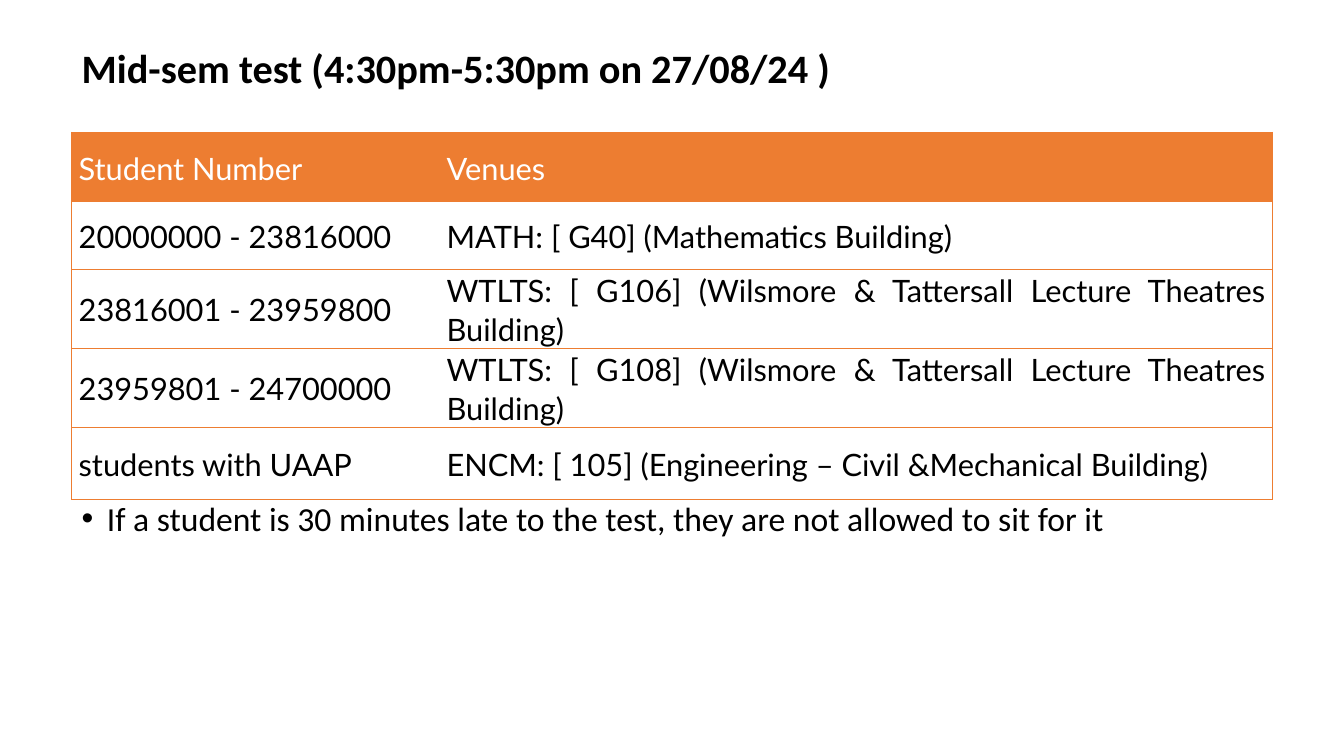
"""Build the slide that lists the mid-semester test venues."""
from dataclasses import dataclass
from typing import Any

from lxml.etree import SubElement
from pptx import Presentation
from pptx.dml.color import RGBColor
from pptx.enum.text import MSO_ANCHOR, MSO_AUTO_SIZE, PP_ALIGN
from pptx.oxml.ns import qn
from pptx.util import Emu, Inches, Pt

WIDTH, HEIGHT = Inches(13.33), Inches(7.5)
ORANGE = RGBColor(0xED, 0x7D, 0x31)
BLACK = RGBColor(0, 0, 0)
WHITE = RGBColor(0xFF, 0xFF, 0xFF)
LEFT = 5.33
COLUMNS = (27.38, 61.97)
PLAIN_STYLE = "{2D5ABB26-0587-4C30-8999-92F81FD0307C}"

TITLE_FONT = {"name": "Calibri", "size": Pt(28.8), "bold": True}
BODY_FONT = {"name": "Calibri", "size": Pt(24), "bold": False}
CELL_FONT = {"name": "Lato", "size": Pt(22), "bold": False}
TITLE_PARAGRAPH = {"alignment": PP_ALIGN.LEFT, "line_spacing": 0.9}
BODY_PARAGRAPH = {"alignment": PP_ALIGN.LEFT, "line_spacing": 0.9, "space_before": Pt(10)}
CELL_PARAGRAPH = {"alignment": PP_ALIGN.JUSTIFY, "line_spacing": 1.07, "space_after": Pt(8)}
CELL_FORMAT = {"vertical_anchor": MSO_ANCHOR.MIDDLE, "margin_left": Inches(0.07),
               "margin_right": Inches(0.07), "margin_top": 0, "margin_bottom": 0}


@dataclass(frozen=True)
class Box:
    """Position and size in percent of the slide."""
    left: float
    top: float
    width: float
    height: float


@dataclass(frozen=True)
class VenueRow:
    """One table row, with its height in percent of the slide."""
    students: str
    venue: str
    height: float


ROWS = (
    VenueRow("Student Number", "Venues", 9.2),
    VenueRow("20000000 - 23816000", "MATH: [ G40] (Mathematics Building)", 8.93),
    VenueRow("23816001 - 23959800",
             "WTLTS: [ G106] (Wilsmore & Tattersall Lecture Theatres Building)", 9.07),
    VenueRow("23959801 - 24700000",
             "WTLTS: [ G108] (Wilsmore & Tattersall Lecture Theatres Building)", 8.8),
    VenueRow("students with UAAP",
             "ENCM: [ 105] (Engineering – Civil &Mechanical Building)", 9.47),
)
TITLE_BOX = Box(LEFT, 4, 57.46, 10.53)
TABLE_BOX = Box(LEFT, 17.47, sum(COLUMNS), sum(row.height for row in ROWS))
BODY_BOX = Box(LEFT, 65.73, 89.8, 14.8)


def across(share: float) -> Emu:
    """Turn a percentage of the slide's width into a length."""
    return Emu(round(WIDTH * share / 100))


def down(share: float) -> Emu:
    """Turn a percentage of the slide's height into a length."""
    return Emu(round(HEIGHT * share / 100))


def apply(target: Any, values: dict[str, Any]) -> None:
    """Set each named attribute on the target."""
    for name, value in values.items():
        setattr(target, name, value)


def place(box: Box) -> dict[str, Emu]:
    """Give the shape attributes for a box."""
    return {"left": across(box.left), "top": down(box.top),
            "width": across(box.width), "height": down(box.height)}


def write(tf: Any, text: str, paragraph: dict[str, Any], font: dict[str, Any],
          color: RGBColor = BLACK) -> Any:
    """Write one formatted paragraph and return it."""
    p = tf.paragraphs[0]
    apply(p, paragraph)
    r = p.add_run()
    r.text = text
    apply(r.font, font)
    r.font.color.rgb = color
    return p


def fill_placeholder(sp: Any, box: Box, text: str, anchor: MSO_ANCHOR,
                     paragraph: dict[str, Any], font: dict[str, Any]) -> Any:
    """Move a placeholder, write its text and return the paragraph."""
    apply(sp, place(box))
    tf = sp.text_frame
    apply(tf, {"auto_size": MSO_AUTO_SIZE.NONE, "vertical_anchor": anchor})
    return write(tf, text, paragraph, font)


def add_bullet(p: Any) -> None:
    """Give a paragraph a hanging round bullet."""
    pPr = p._p.get_or_add_pPr()
    pPr.set("marL", str(Inches(0.25)))
    pPr.set("indent", str(-Inches(0.25)))
    SubElement(pPr, qn("a:buFont"), typeface="Arial")
    SubElement(pPr, qn("a:buChar"), char="•")


def add_borders(cell: Any, sides: str) -> None:
    """Draw thin orange borders on the given sides of a cell."""
    tcPr = cell._tc.get_or_add_tcPr()
    for side in sides:
        ln = SubElement(tcPr, qn(f"a:ln{side}"), w=str(Pt(0.5)))
        fill = SubElement(ln, qn("a:solidFill"))
        SubElement(fill, qn("a:srgbClr"), val=str(ORANGE))


def fill_cell(cell: Any, text: str, header: bool, outer_side: str) -> None:
    """Write and format one table cell."""
    apply(cell, CELL_FORMAT)
    p = write(cell.text_frame, text, CELL_PARAGRAPH, CELL_FONT, WHITE if header else BLACK)
    p.space_before = Pt(0)
    spacing = p._p.pPr.find(qn("a:spcBef"))
    spacing.remove(spacing[0])
    SubElement(spacing, qn("a:spcPct"), val="20000")
    add_borders(cell, outer_side + "TB")
    if header:
        cell.fill.solid()
        cell.fill.fore_color.rgb = ORANGE
    else:
        cell.fill.background()


def add_venues(s: Any) -> None:
    """Add the table of student numbers and venues."""
    frame = s.shapes.add_table(len(ROWS), len(COLUMNS), **place(TABLE_BOX))
    table = frame.table
    table.horz_banding = False
    table._tbl.tblPr.find(qn("a:tableStyleId")).text = PLAIN_STYLE
    for column, width in zip(table.columns, COLUMNS):
        column.width = across(width)
    for i, row in enumerate(ROWS):
        table.rows[i].height = down(row.height)
        for j, (text, side) in enumerate(((row.students, "L"), (row.venue, "R"))):
            fill_cell(table.cell(i, j), text, i == 0, side)


def main() -> None:
    """Build and save the presentation."""
    prs = Presentation()
    apply(prs, {"slide_width": WIDTH, "slide_height": HEIGHT})
    s = prs.slides.add_slide(prs.slide_layouts[1])
    fill_placeholder(s.shapes.title, TITLE_BOX, "Mid-sem test (4:30pm-5:30pm on 27/08/24 )",
                     MSO_ANCHOR.MIDDLE, TITLE_PARAGRAPH, TITLE_FONT)
    add_venues(s)
    p = fill_placeholder(
        s.placeholders[1], BODY_BOX,
        "If a student is 30 minutes late to the test, they are not allowed to sit for it",
        MSO_ANCHOR.TOP, BODY_PARAGRAPH, BODY_FONT)
    add_bullet(p)
    prs.save("out.pptx")


if __name__ == "__main__":
    main()
